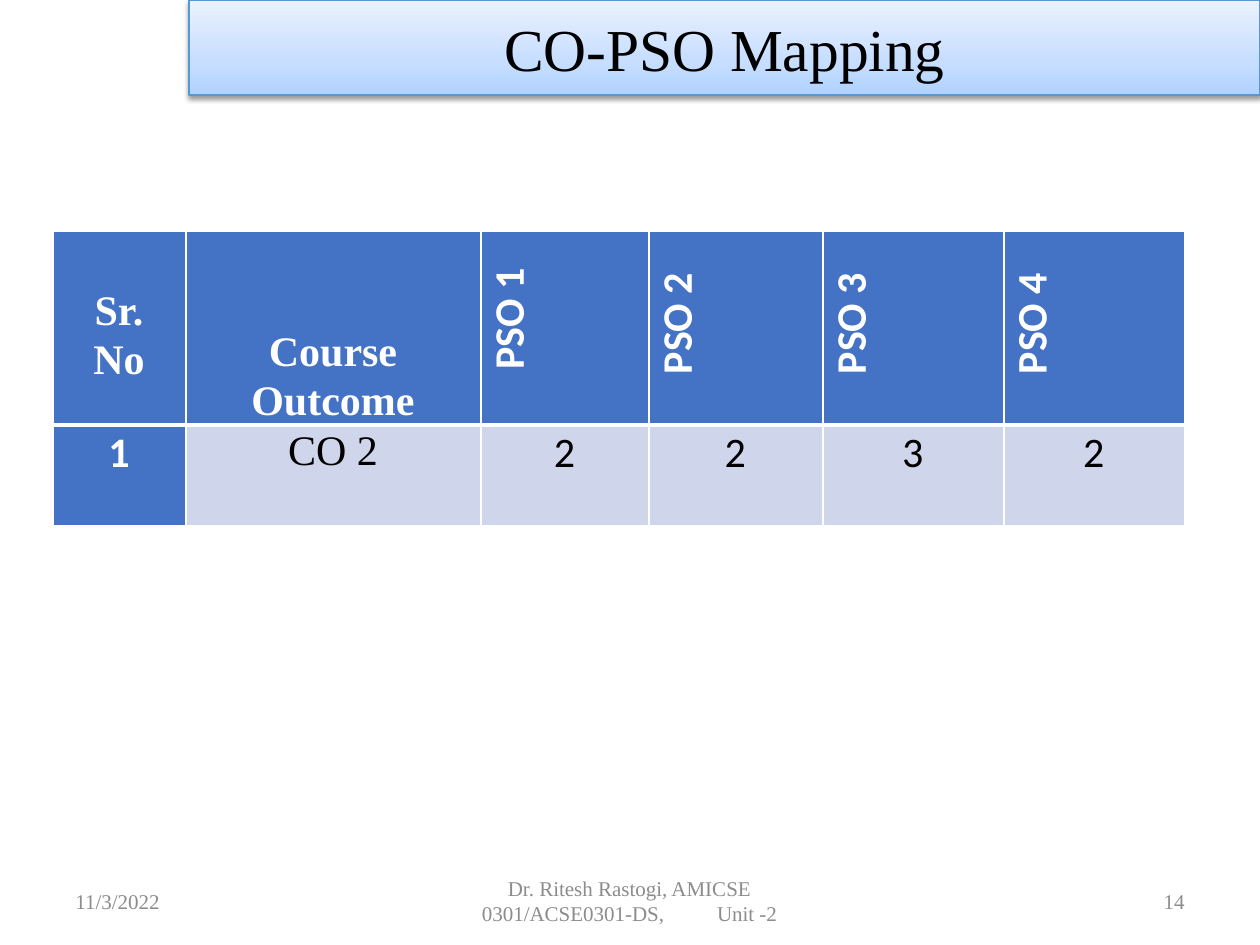
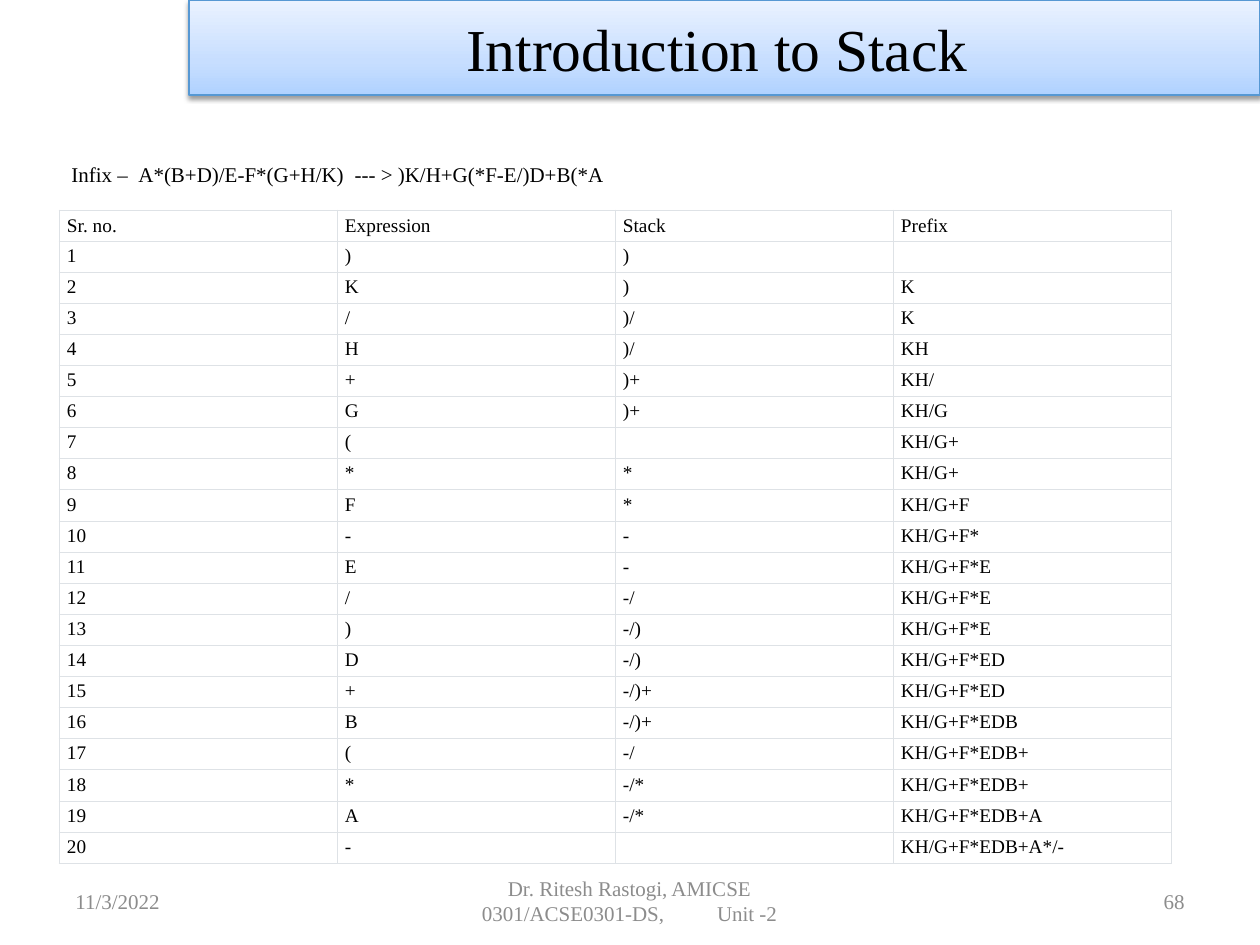
from dataclasses import dataclass

from lxml import etree
from pptx import Presentation
from pptx.dml.color import RGBColor as Rgb
from pptx.enum.text import MSO_ANCHOR as Anchor, MSO_AUTO_SIZE as Auto, PP_ALIGN as Align
from pptx.oxml import parse_xml
from pptx.oxml.ns import nsdecls, qn
from pptx.util import Emu, Pt


@dataclass(frozen=True)
class Theme:
    """Colours, fonts and type sizes of the deck."""
    serif: str = "Times New Roman"
    sans: str = "Calibri"
    ink: str = "000000"
    paper: str = "FFFFFF"
    grey: str = "8C8C8C"
    blue: str = "4472C4"
    pale: str = "CFD5EA"
    rule: str = "DEE2E6"
    edge: str = "5698D3"
    band: tuple = ((0, "B0D2FF"), (35, "C7DEFF"), (100, "EAF2FF"))
    head: int = 34
    big: int = 24
    note: int = 12
    small: int = 11


T = Theme()
BAND = (189, 0, 1071, 95)
FOOT = (63, 876, 1134, 50)
PSO_BOX = (53, 231, 1132, 295)
INFIX_BOX = (59, 155, 1096, 38)
STEP_BOX = (59, 210, 1112, 623)

STEPS = [
    ("Expression", "Stack", "Prefix"),
    (")", ")", ""),
    ("K", ")", "K"),
    ("/", ")/", "K"),
    ("H", ")/", "KH"),
    ("+", ")+", "KH/"),
    ("G", ")+", "KH/G"),
    ("(", "", "KH/G+"),
    ("*", "*", "KH/G+"),
    ("F", "*", "KH/G+F"),
    ("-", "-", "KH/G+F*"),
    ("E", "-", "KH/G+F*E"),
    ("/", "-/", "KH/G+F*E"),
    (")", "-/)", "KH/G+F*E"),
    ("D", "-/)", "KH/G+F*ED"),
    ("+", "-/)+", "KH/G+F*ED"),
    ("B", "-/)+", "KH/G+F*EDB"),
    ("(", "-/", "KH/G+F*EDB+"),
    ("*", "-/*", "KH/G+F*EDB+"),
    ("A", "-/*", "KH/G+F*EDB+A"),
    ("-", "", "KH/G+F*EDB+A*/-"),
]


def px(n):
    """Turn pixels into EMU."""
    return Emu(round(n * 914400 / 126))


def say(para, parts, size, ink=T.ink, font=T.serif, bold=False, align=Align.LEFT):
    """Add one run per part; a number is a space widened by that many points."""
    para.alignment = align
    for part in parts:
        run = para.add_run()
        gap = isinstance(part, int)
        run.text = " " if gap else part
        run.font.size, run.font.name, run.font.bold = Pt(size), font, bold
        run.font.color.rgb = Rgb.from_string(ink)
        if gap:
            run.font._element.set("spc", str(part * 100))


def label(slide, box, parts, size, ink=T.ink, align=Align.LEFT, anchor=Anchor.TOP):
    """Place a wrapped text box."""
    frame = slide.shapes.add_textbox(*map(px, box)).text_frame
    frame.word_wrap, frame.vertical_anchor = True, anchor
    say(frame.paragraphs[0], parts, size, ink, align=align)


def title(slide, box, text):
    """Turn the title placeholder into the shaded band."""
    shape = slide.shapes.title
    shape.left, shape.top, shape.width, shape.height = map(px, box)
    stops = "".join(f'<a:gs pos="{pos * 1000}"><a:srgbClr val="{ink}"/></a:gs>'
                    for pos, ink in T.band)
    props = shape._element.spPr
    props.append(parse_xml(f'<a:gradFill {nsdecls("a")} rotWithShape="1"><a:gsLst>{stops}'
                           '</a:gsLst><a:lin ang="16200000" scaled="0"/></a:gradFill>'))
    shape.line.color.rgb = Rgb.from_string(T.edge)
    shape.line.width = Pt(0.75)
    props.append(parse_xml(
        f'<a:effectLst {nsdecls("a")}><a:outerShdw blurRad="{Pt(3.1)}" dist="{Pt(1.6)}" '
        'dir="5400000" rotWithShape="0"><a:srgbClr val="000000"><a:alpha val="38000"/>'
        '</a:srgbClr></a:outerShdw></a:effectLst>'))
    frame = shape.text_frame
    frame.auto_size, frame.vertical_anchor = Auto.NONE, Anchor.MIDDLE
    say(frame.paragraphs[0], [text], T.head, align=Align.CENTER)


def footer(slide, box, page):
    """Place date, course and page number along the foot."""
    x, y, w, h = box
    side, mid = 294, 399
    course = ["Dr. Ritesh Rastogi, AMICSE 0301/ACSE0301-DS,", 27, "Unit -2"]
    for left, wide, parts, align in (
            (x, side, ["11/3/2022"], Align.LEFT),
            (x + (w - mid) // 2, mid, course, Align.CENTER),
            (x + w - side, side, [str(page)], Align.RIGHT)):
        label(slide, (left, y, wide, h), parts, T.note, T.grey, align, Anchor.MIDDLE)


def grid(slide, box, rows, cols):
    """Add a plain table with equal columns and rows."""
    table = slide.shapes.add_table(rows, cols, *map(px, box)).table
    table.first_row = table.horz_banding = False
    for col in table.columns:
        col.width = px(box[2]) // cols
    for row in table.rows:
        row.height = px(box[3]) // rows
    return table


def dress(cell, fill, ink, widths, pads):
    """Set a cell's borders (left, right, top, bottom), fill and margins."""
    props = cell._tc.get_or_add_tcPr()
    for side, width in zip("LRTB", widths):
        line = etree.SubElement(props, qn(f"a:ln{side}"), w=str(Pt(width)))
        solid = etree.SubElement(line, qn("a:solidFill"))
        etree.SubElement(solid, qn("a:srgbClr"), val=ink)
    cell.fill.solid()
    cell.fill.fore_color.rgb = Rgb.from_string(fill)
    (cell.margin_left, cell.margin_top,
     cell.margin_right, cell.margin_bottom) = map(px, pads)


def mapping(slide, box):
    """Build the table of course outcome against PSO."""
    table = grid(slide, box, 2, 6)
    for col, wide in zip(table.columns, (133, 295, 168, 174, 181, 181)):
        col.width = px(wide)
    for row, high in zip(table.rows, (194, 101)):
        row.height = px(high)
    heads = [["Sr.", "No"], ["Course Outcome"], [" PSO 1"], ["PSO 2"], ["PSO 3"], ["PSO 4"]]
    marks = [["1"], ["CO 2"], ["2"], ["2"], ["3"], ["2"]]
    for r, row in enumerate((heads, marks)):
        for c, lines in enumerate(row):
            cell = table.cell(r, c)
            strong, pso = r == 0 or c == 0, c > 1
            drop = 54 if (r, c) == (0, 0) else 0
            dress(cell, T.blue if strong else T.pale, T.paper,
                  (1, 1, 1, 3) if r == 0 else (1, 1, 3, 1), (10, drop, 11, 0))
            serif = c == 1 or (r, c) == (0, 0)
            frame = cell.text_frame
            for i, line in enumerate(lines):
                para = frame.add_paragraph() if i else frame.paragraphs[0]
                para.line_spacing = 1.06
                if pso and r == 0:
                    para._p.get_or_add_pPr().set("marL", str(px(10)))
                elif pso:
                    para.space_after = Pt(8)
                say(para, [line], T.big, T.paper if strong else T.ink,
                    T.serif if serif else T.sans, strong, Align.CENTER)
            if r == 0 and pso:
                cell._tc.tcPr.set("vert", "vert270")
    table.cell(0, 1).vertical_anchor = Anchor.BOTTOM


def trace(slide, box):
    """Build the numbered steps from infix to prefix."""
    table = grid(slide, box, len(STEPS), 4)
    for r, step in enumerate(STEPS):
        for c, text in enumerate((str(r) if r else "Sr. no.", *step)):
            cell = table.cell(r, c)
            dress(cell, T.paper, T.rule, (0.6,) * 4, (8, 4, 8, 4))
            cell.vertical_anchor = Anchor.TOP if r else Anchor.BOTTOM
            para = cell.text_frame.paragraphs[0]
            if text:
                say(para, [text], T.small)
            else:
                etree.SubElement(para._p, qn("a:endParaRPr"), sz=str(T.small * 100))


def start(deck, text, page):
    """Add a slide with its title band and footer."""
    slide = deck.slides.add_slide(deck.slide_layouts[5])
    title(slide, BAND, text)
    footer(slide, FOOT, page)
    return slide


def main():
    """Build and save the deck."""
    deck = Presentation()
    deck.slide_width, deck.slide_height = px(1260), px(945)
    mapping(start(deck, "CO-PSO Mapping", 14), PSO_BOX)
    stack = start(deck, "Introduction to Stack ", 68)
    infix = ["Infix –", 3, "A*(B+D)/E-F*(G+H/K)", 3, "--- > )K/H+G(*F-E/)D+B(*A"]
    label(stack, INFIX_BOX, infix, T.note)
    trace(stack, STEP_BOX)
    deck.save("out.pptx")


if __name__ == "__main__":
    main()
